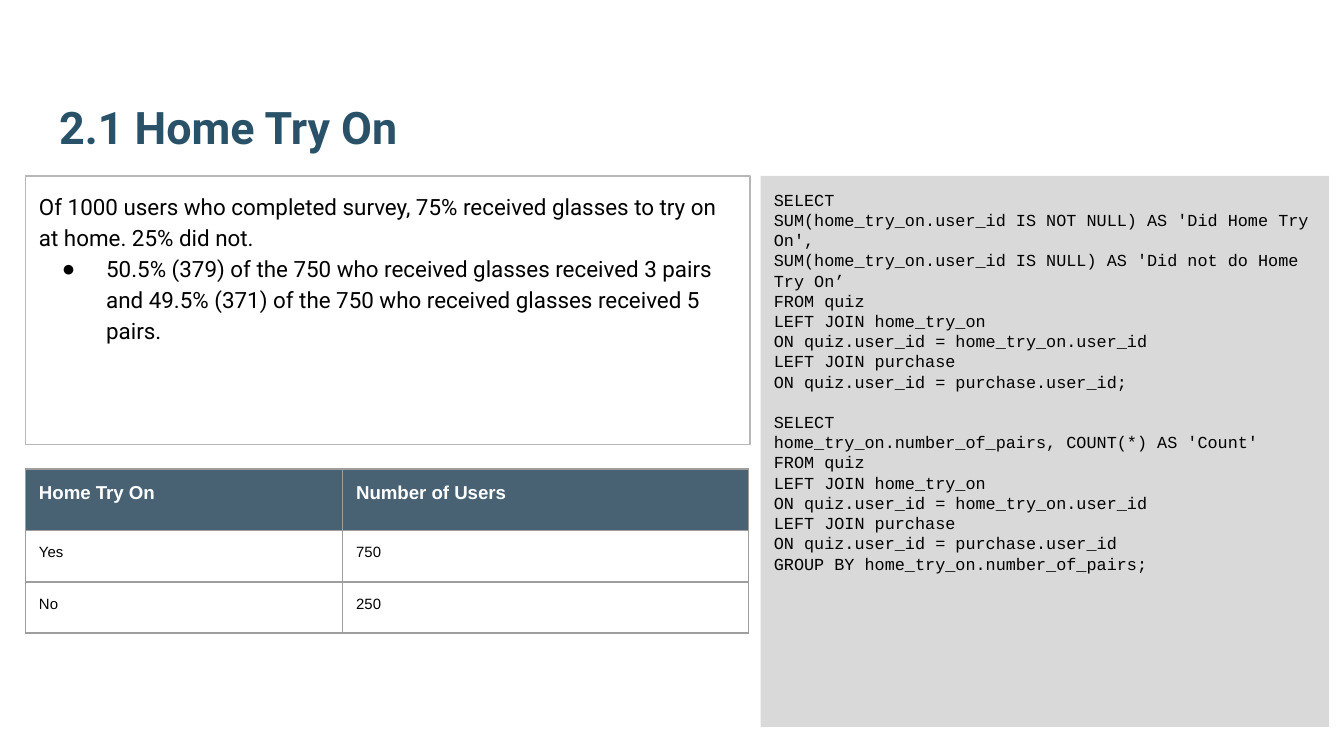
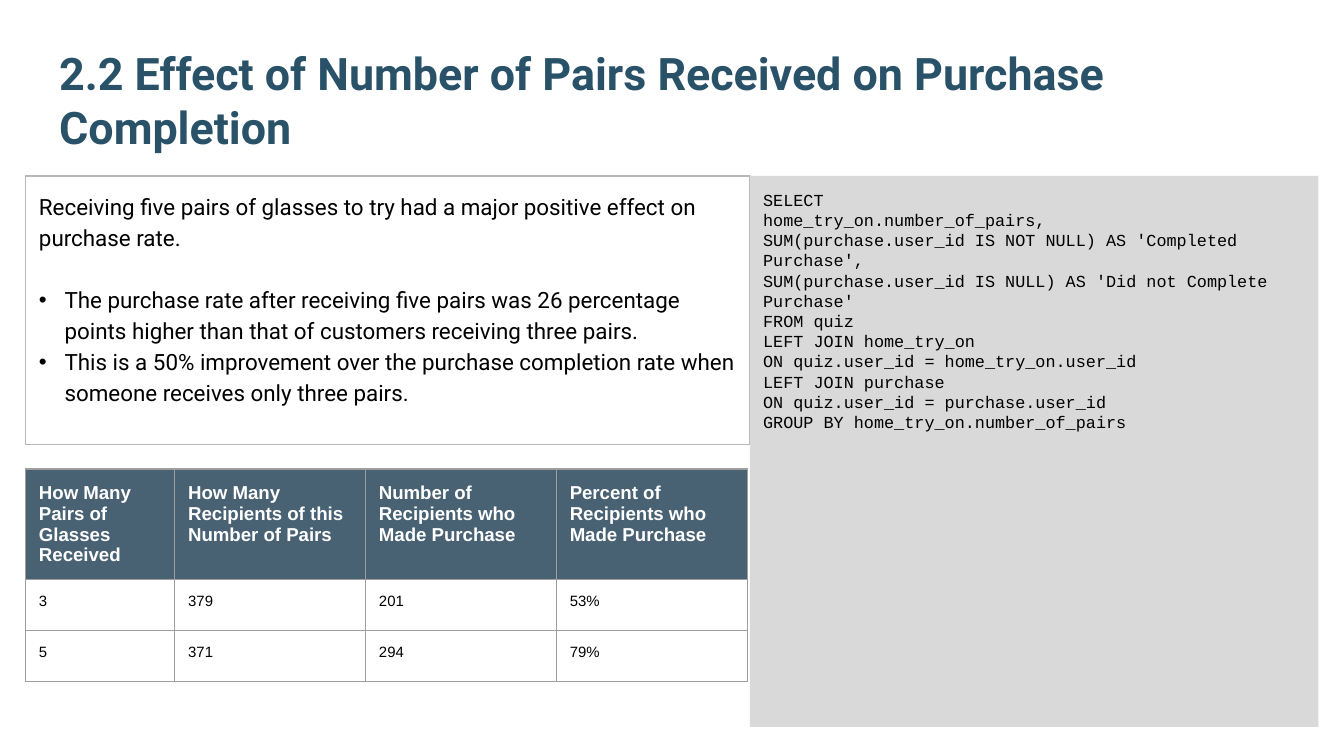
from lxml import etree
from pptx import Presentation, util as u
from pptx.dml.color import RGBColor
from pptx.enum import shapes, text
from pptx.oxml import ns

TITLE_BLUE = RGBColor(0x29, 0x52, 0x69)
HEADER_BLUE = RGBColor(0x20, 0x40, 0x56)
HEADER_OPACITY = 82
PANEL_GRAY = RGBColor(0xD9, 0xD9, 0xD9)
FRAME_GRAY = RGBColor(0xB7, 0xB7, 0xB7)
GRID_GRAY = RGBColor(0x9E, 0x9E, 0x9E)
BLACK = RGBColor(0, 0, 0)
WHITE = RGBColor(0xFF, 0xFF, 0xFF)

# Inches
WIDTH = 10
HEIGHT = WIDTH * 9 / 16
LEFT, COLUMN_WIDTH = 0.19, 5.39
CONTENT_TOP, FINDINGS_HEIGHT = 1.31, 2
TABLE_TOP, HEADER_ROW, BODY_ROW = 3.49, 0.46, 0.38
CODE_WIDTH, CODE_HEIGHT = 4.23, 4.1
INSET = 0.1

# Points
LINE_WIDTH = 0.75
CODE_GAP = 10.8
FINDINGS_GAP = 16.5

SLIDES = [
    {
        "title": "2.1 Home Try On",
        "intro": "Of 1000 users who completed survey, 75% received glasses to try on at home. "
                 "25% did not.",
        "bullets": [
            "50.5% (379) of the 750 who received glasses received 3 pairs and 49.5% (371) "
            "of the 750 who received glasses received 5 pairs.",
        ],
        "bullet_style": {"character": "●", "margin": 0.5, "hanging": 0.33, "gap": 0},
        "code_left": 5.66,
        "queries": [
            """SELECT
SUM(home_try_on.user_id IS NOT NULL) AS 'Did Home Try On',
SUM(home_try_on.user_id IS NULL) AS 'Did not do Home Try On’
FROM quiz
LEFT JOIN home_try_on
ON quiz.user_id = home_try_on.user_id
LEFT JOIN purchase
ON quiz.user_id = purchase.user_id;""",
            """SELECT
home_try_on.number_of_pairs, COUNT(*) AS 'Count'
FROM quiz
LEFT JOIN home_try_on
ON quiz.user_id = home_try_on.user_id
LEFT JOIN purchase
ON quiz.user_id = purchase.user_id
GROUP BY home_try_on.number_of_pairs;""",
        ],
        "columns": [2.36, 3.02],
        "rows": [("Home Try On", "Number of Users"), ("Yes", "750"), ("No", "250")],
    },
    {
        "title": "2.2 Effect of Number of Pairs Received on Purchase Completion",
        "intro": "Receiving five pairs of glasses to try had a major positive effect on "
                 "purchase rate.",
        "bullets": [
            "The purchase rate after receiving five pairs was 26 percentage points higher "
            "than that of customers receiving three pairs.",
            "This is a 50% improvement over the purchase completion rate when someone "
            "receives only three pairs.",
        ],
        "bullet_style": {"character": "•", "margin": 0.19, "hanging": 0.19,
                         "gap": FINDINGS_GAP},
        "code_left": 5.58,
        "queries": [
            """SELECT
home_try_on.number_of_pairs,
SUM(purchase.user_id IS NOT NULL) AS 'Completed Purchase',
SUM(purchase.user_id IS NULL) AS 'Did not Complete Purchase'
FROM quiz
LEFT JOIN home_try_on
ON quiz.user_id = home_try_on.user_id
LEFT JOIN purchase
ON quiz.user_id = purchase.user_id
GROUP BY home_try_on.number_of_pairs""",
        ],
        "columns": [1.11, 1.42, 1.42, 1.42],
        "rows": [
            ("How Many Pairs of Glasses Received", "How Many Recipients of this Number of Pairs",
             "Number of Recipients who Made Purchase", "Percent of Recipients who Made Purchase"),
            ("3", "379", "201", "53%"),
            ("5", "371", "294", "79%"),
        ],
    },
]


def place(shape, left, top, width, height):
    shape.left, shape.top = u.Inches(left), u.Inches(top)
    shape.width, shape.height = u.Inches(width), u.Inches(height)


def prepare_frame(frame, anchor=text.MSO_ANCHOR.TOP):
    frame.word_wrap = True
    frame.auto_size = text.MSO_AUTO_SIZE.NONE
    frame.vertical_anchor = anchor
    frame.margin_left = frame.margin_right = u.Inches(INSET)
    frame.margin_top = frame.margin_bottom = u.Inches(INSET)


def format_paragraph(paragraph, font_name, size, color, bold=False, space_before=0):
    paragraph.alignment = text.PP_ALIGN.LEFT
    paragraph.space_before = u.Pt(space_before)
    font = paragraph.font
    font.name, font.size, font.bold = font_name, u.Pt(size), bold
    font.color.rgb = color


def add_lines(frame, lines):
    """Write one paragraph per line and return the paragraphs."""
    frame.text = "\n".join(lines)
    return frame.paragraphs


def set_bullet(paragraph, character=None, margin=0, hanging=0):
    """Set the indent and bullet; without a character the bullet is switched off."""
    properties = paragraph._p.get_or_add_pPr()
    properties.set("marL", str(u.Inches(margin)))
    properties.set("indent", str(-u.Inches(hanging)))
    if character:
        etree.SubElement(properties, ns.qn("a:buChar")).set("char", character)
    else:
        etree.SubElement(properties, ns.qn("a:buNone"))


def add_title(slide, title):
    shape = slide.shapes.title
    place(shape, 0.34, 0.32, 9.32, 0.92)
    prepare_frame(shape.text_frame, text.MSO_ANCHOR.BOTTOM)
    shape.text_frame.text = title
    format_paragraph(shape.text_frame.paragraphs[0], "Roboto", 24, TITLE_BLUE, bold=True)


def add_findings(slide, intro, bullets, style):
    shape = slide.placeholders[1]
    place(shape, LEFT, CONTENT_TOP, COLUMN_WIDTH, FINDINGS_HEIGHT)
    shape.line.color.rgb = FRAME_GRAY
    shape.line.width = u.Pt(LINE_WIDTH)
    prepare_frame(shape.text_frame)
    for index, paragraph in enumerate(add_lines(shape.text_frame, [intro, *bullets])):
        if index:
            set_bullet(paragraph, style["character"], style["margin"], style["hanging"])
        else:
            set_bullet(paragraph)
        paragraph.line_spacing = 1.15
        gap = style["gap"] if index == 1 else 0
        format_paragraph(paragraph, "Roboto", 12, BLACK, space_before=gap)


def add_code(slide, left, queries):
    panel = slide.shapes.add_shape(shapes.MSO_SHAPE.RECTANGLE, 0, 0, 0, 0)
    place(panel, left, CONTENT_TOP, CODE_WIDTH, CODE_HEIGHT)
    panel.shadow.inherit = False
    panel.fill.solid()
    panel.fill.fore_color.rgb = PANEL_GRAY
    panel.line.fill.background()
    prepare_frame(panel.text_frame)
    lines = "\n".join(queries).split("\n")
    for index, paragraph in enumerate(add_lines(panel.text_frame, lines)):
        gap = CODE_GAP if index and paragraph.text == "SELECT" else 0
        format_paragraph(paragraph, "Courier New", 9, BLACK, space_before=gap)


def set_borders(cell):
    properties = cell._tc.get_or_add_tcPr()
    for side in ("lnL", "lnR", "lnT", "lnB"):
        line = etree.SubElement(properties, ns.qn(f"a:{side}"), w=str(u.Pt(LINE_WIDTH)))
        fill = etree.SubElement(line, ns.qn("a:solidFill"))
        etree.SubElement(fill, ns.qn("a:srgbClr"), val=str(GRID_GRAY))


def fill_header(cell):
    cell.fill.solid()
    cell.fill.fore_color.rgb = HEADER_BLUE
    color = cell._tc.tcPr.find(ns.qn("a:solidFill")).find(ns.qn("a:srgbClr"))
    etree.SubElement(color, ns.qn("a:alpha"), val=str(HEADER_OPACITY * 1000))


def add_results(slide, columns, rows):
    heights = [HEADER_ROW] + [BODY_ROW] * (len(rows) - 1)
    table = slide.shapes.add_table(
        len(rows), len(columns), u.Inches(LEFT), u.Inches(TABLE_TOP),
        u.Inches(sum(columns)), u.Inches(sum(heights))).table
    table.horz_banding = False
    for column, width in zip(table.columns, columns):
        column.width = u.Inches(width)
    for row_index, (row, values) in enumerate(zip(table.rows, rows)):
        row.height = u.Inches(heights[row_index])
        for cell, value in zip(row.cells, values):
            cell.text = value
            cell.margin_left = cell.margin_right = u.Inches(INSET)
            cell.margin_top = cell.margin_bottom = u.Inches(INSET)
            set_borders(cell)
            paragraph = cell.text_frame.paragraphs[0]
            if row_index == 0:
                fill_header(cell)
                format_paragraph(paragraph, "Arial", 10, WHITE, bold=True)
            else:
                cell.fill.background()
                format_paragraph(paragraph, "Arial", 8, BLACK)


def main():
    presentation = Presentation()
    presentation.slide_width = u.Inches(WIDTH)
    presentation.slide_height = u.Inches(HEIGHT)
    for content in SLIDES:
        slide = presentation.slides.add_slide(presentation.slide_layouts[1])
        add_title(slide, content["title"])
        add_findings(slide, content["intro"], content["bullets"], content["bullet_style"])
        add_code(slide, content["code_left"], content["queries"])
        add_results(slide, content["columns"], content["rows"])
    presentation.save("out.pptx")


if __name__ == "__main__":
    main()
